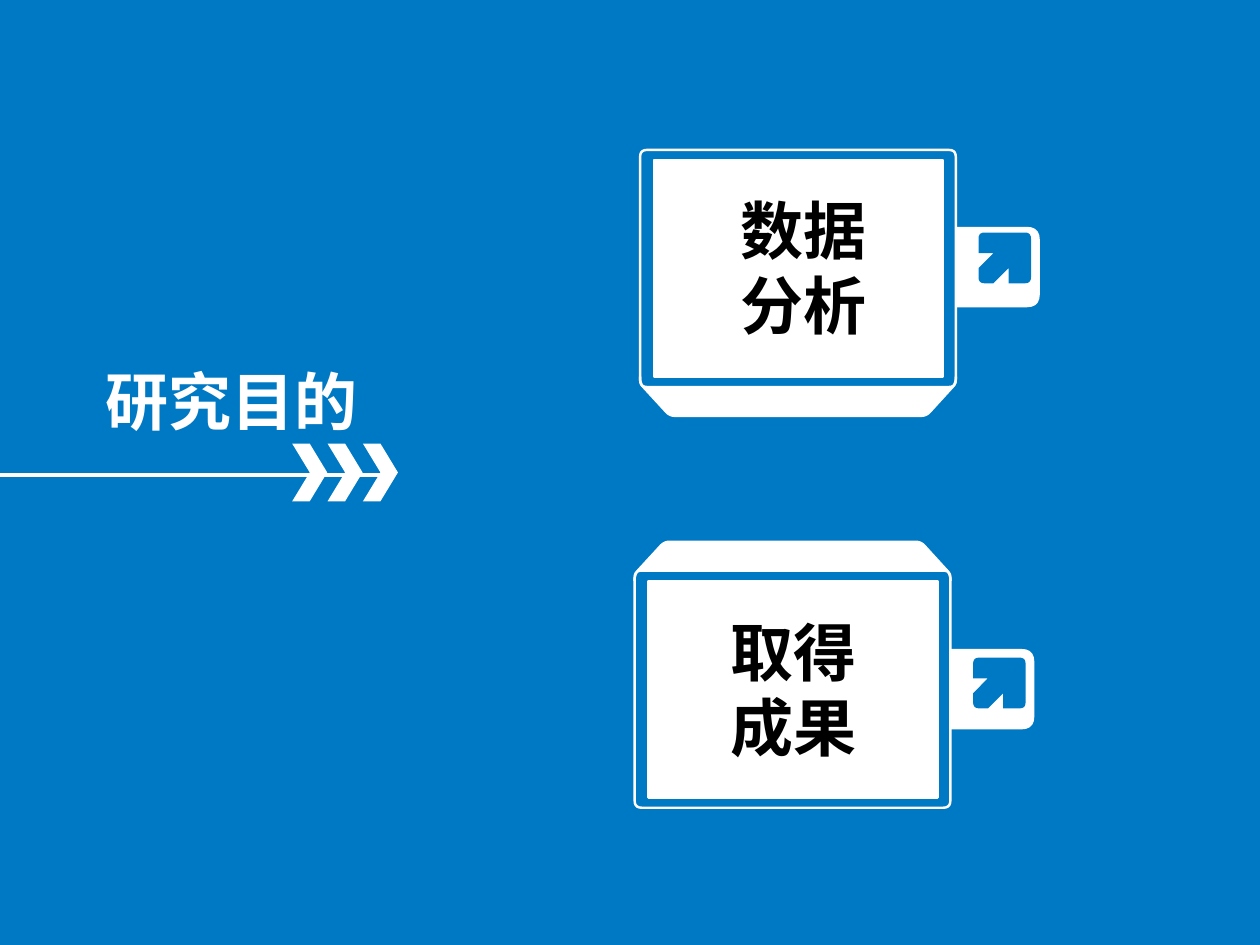
from dataclasses import dataclass
from typing import Optional

from lxml.etree import SubElement
from pptx import Presentation
from pptx.dml.color import RGBColor
from pptx.enum.shapes import MSO_CONNECTOR, MSO_SHAPE
from pptx.enum.text import MSO_ANCHOR, MSO_AUTO_SIZE, PP_ALIGN
from pptx.oxml.ns import qn
from pptx.util import Pt

COLORS = {"blue": "0079C5", "white": "FFFFFF", "black": "000000"}
FONT = "Noto Sans CJK SC"
Corner = tuple[float, float, float]  # x, y, rounding radius

CARD_W, CARD_H, FOLD_Y = 180.4, 152, 135.5
FLAP_LEFT, FLAP_RIGHT = 17, 163.5
CARD_OUTLINE = [(0, 0, 4), (CARD_W, 0, 4), (CARD_W, 133.5, 3), (FLAP_RIGHT, CARD_H, 3),
                (FLAP_LEFT, CARD_H, 3), (0, 133.5, 3)]
FOLD = [(0, 129.6, 0), (0, FOLD_Y, 4), (CARD_W, FOLD_Y, 4), (CARD_W, 129.6, 0)]
FLAP = [(2, FOLD_Y, 0), (178.4, FOLD_Y, 0), (FLAP_RIGHT, CARD_H, 3), (FLAP_LEFT, CARD_H, 3)]
PANEL_X, PANEL_Y, PANEL_W, PANEL_H = 8, 5.8, 165, 123.8
TAB = [(0, 0, 0), (48, 0, 7.5), (48, 46, 7.5), (0, 46, 0)]
ARROW_ICON = [(0, 0, 3.5), (30, 0, 3.5), (30, 29, 3.5), (17.2, 29, 0), (17.2, 20.3, 0),
              (8.5, 29, 0), (0, 29, 3.5), (0, 20.3, 0), (8.5, 11.8, 0), (0, 11.8, 0)]
CHEVRON = [(0, 0, 0), (10, 0, 0), (20, 16.5, 0), (10, 33, 0), (0, 33, 0), (10, 16.5, 0)]


@dataclass
class Card:
    words: str
    left: float
    top: float
    flap_on_top: bool
    text_left: float
    text_top: float
    tab_top: float
    icon_top: float


CARDS = [
    Card("数据\n分析", 365.8, 85.7, False, 373, 105.8, 129.6, 132.9),
    Card("取得\n成果", 362.7, 309.6, True, 367.2, 347, 370.8, 375.8),
]


def color(name: str) -> RGBColor:
    return RGBColor.from_string(COLORS[name])


def rounded(corners: list[Corner], steps: int = 5) -> list[tuple[float, float]]:
    """Replace each corner that has a radius by points on a quadratic curve."""
    points = []
    for i, (x, y, radius) in enumerate(corners):
        if not radius:
            points.append((x, y))
            continue
        ends = []
        for nx, ny, _ in (corners[i - 1], corners[(i + 1) % len(corners)]):
            share = radius / ((nx - x) ** 2 + (ny - y) ** 2) ** 0.5
            ends.append((x + (nx - x) * share, y + (ny - y) * share))
        (ax, ay), (bx, by) = ends
        for t in (step / steps for step in range(steps + 1)):
            a, m, b = (1 - t) ** 2, 2 * t * (1 - t), t ** 2
            points.append((a * ax + m * x + b * bx, a * ay + m * y + b * by))
    return points


def paint(shape, fill: Optional[str], line: Optional[str]) -> None:
    shape.shadow.inherit = False
    if fill:
        shape.fill.solid()
        shape.fill.fore_color.rgb = color(fill)
    else:
        shape.fill.background()
    if line:
        shape.line.color.rgb = color(line)
        shape.line.width = Pt(1.39)
    else:
        shape.line.fill.background()


def draw_outline(slide, corners: list[Corner], left: float, top: float,
                 fill: Optional[str] = None, line: Optional[str] = None,
                 closed: bool = True) -> None:
    points = [(Pt(left + x), Pt(top + y)) for x, y in rounded(corners)]
    builder = slide.shapes.build_freeform(*points[0])
    builder.add_line_segments(points[1:], close=closed)
    paint(builder.convert_to_shape(), fill, line)


def write(shape, words: str, ink: str, align: PP_ALIGN) -> None:
    frame = shape.text_frame
    frame.text = words
    frame.word_wrap = True
    frame.auto_size = MSO_AUTO_SIZE.NONE
    frame.vertical_anchor = MSO_ANCHOR.TOP
    for paragraph in frame.paragraphs:
        paragraph.alignment = align
        paragraph.line_spacing = 1.0
        paragraph.space_before = Pt(0)
        for run in paragraph.runs:
            run.font.size = Pt(36)
            run.font.bold = True
            run.font.name = FONT
            run.font.color.rgb = color(ink)
            SubElement(run.font._element, qn("a:ea")).set("typeface", FONT)


def place(shape, left: float, top: float, width: float, height: float) -> None:
    shape.left, shape.top = Pt(left), Pt(top)
    shape.width, shape.height = Pt(width), Pt(height)


def draw_card(slide, card: Card) -> None:
    def facing(corners: list[Corner]) -> list[Corner]:
        """Mirror the corners when the flap is on top."""
        return [(x, CARD_H - y if card.flap_on_top else y, r) for x, y, r in corners]

    draw_outline(slide, facing(CARD_OUTLINE), card.left, card.top, line="white")
    draw_outline(slide, facing(FOLD), card.left, card.top, line="white", closed=False)
    draw_outline(slide, facing(FLAP), card.left, card.top, fill="white")

    panel_y = CARD_H - PANEL_Y - PANEL_H if card.flap_on_top else PANEL_Y
    panel = slide.shapes.add_shape(
        MSO_SHAPE.RECTANGLE, Pt(card.left + PANEL_X), Pt(card.top + panel_y),
        Pt(PANEL_W), Pt(PANEL_H))
    paint(panel, "white", "white")

    label = slide.shapes.add_textbox(
        Pt(card.text_left), Pt(card.text_top), Pt(172.8), Pt(93.6))
    write(label, card.words, "black", PP_ALIGN.CENTER)

    tab_left = card.left + CARD_W
    draw_outline(slide, TAB, tab_left, card.tab_top, fill="white")
    draw_outline(slide, ARROW_ICON, tab_left + 13, card.icon_top, fill="blue")


def main() -> None:
    deck = Presentation()
    deck.slide_width, deck.slide_height = Pt(720), Pt(540)
    slide = deck.slides.add_slide(deck.slide_layouts[5])
    slide.background.fill.solid()
    slide.background.fill.fore_color.rgb = color("blue")

    title = slide.shapes.title
    place(title, 53.3, 203.8, 172.8, 50.4)
    write(title, "研究目的", "white", PP_ALIGN.LEFT)

    track = slide.shapes.add_connector(
        MSO_CONNECTOR.STRAIGHT, Pt(0), Pt(271.4), Pt(223.2), Pt(271.4))
    track.line.color.rgb = color("white")
    track.line.width = Pt(2)
    SubElement(track._element.spPr, qn("a:effectLst"))

    for card in CARDS:
        draw_card(slide, card)
    for i in range(3):
        draw_outline(slide, CHEVRON, 167 + 20.2 * i, 253.5, fill="white")

    deck.save("out.pptx")


if __name__ == "__main__":
    main()
